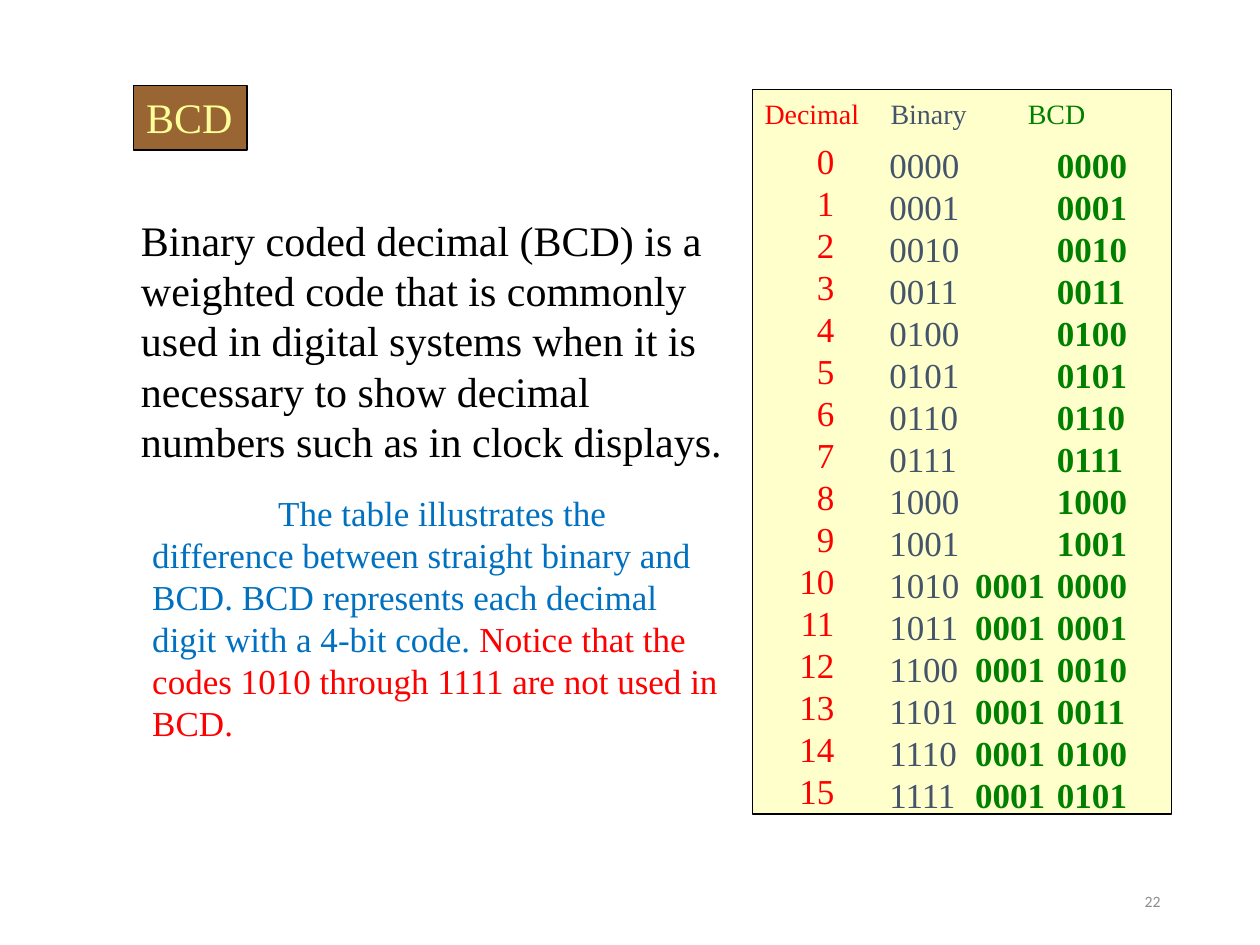
from pptx import Presentation
from pptx import util as u
from pptx.dml.color import RGBColor
from pptx.enum import shapes, text

RED, GREEN, SLATE, BLUE = "FF0000", "008000", "44546A", "0070C0"
ROW = 1 / 3


def paint(hue):
    """Turn a hex string into a colour."""
    return RGBColor.from_string(hue)


class Page:
    """The current slide and its style."""

    face = "Times New Roman"

    def __init__(self, deck):
        """Add a title-only slide."""
        self.slide = deck.slides.add_slide(deck.slide_layouts[5])

    def place(self, item, box):
        """Move an element to left, top, width, height."""
        item.left, item.top, item.width, item.height = map(u.Inches, box)

    def coat(self, item, fill):
        """Fill an element and give it a thin black outline."""
        item.fill.solid()
        item.fill.fore_color.rgb = paint(fill)
        item.line.color.rgb = paint("000000")
        item.line.width = u.Pt(0.75)

    def style(self, para, size, hue, bold=False, align="LEFT", face=None):
        """Format one paragraph."""
        para.alignment = getattr(text.PP_ALIGN, align)
        para.line_spacing = u.Pt(1.2 * size)
        para.space_before = u.Pt(0)
        font = para.font
        font.name, font.size, font.bold = face or self.face, u.Pt(size), bold
        font.color.rgb = paint(hue)

    def title(self, words, box, size, hue, fill):
        """Fill the title placeholder as a coloured label."""
        item = self.slide.shapes.title
        self.place(item, box)
        self.coat(item, fill)
        frame = item.text_frame
        frame.text = words
        frame.word_wrap = False
        frame.auto_size = text.MSO_AUTO_SIZE.NONE
        frame.vertical_anchor = text.MSO_ANCHOR.TOP
        self.style(frame.paragraphs[0], size, hue)

    def panel(self, box, fill):
        """Add an outlined rectangle."""
        item = self.slide.shapes.add_shape(
            shapes.MSO_SHAPE.RECTANGLE, *map(u.Inches, box))
        item.shadow.inherit = False
        self.coat(item, fill)

    def text(self, lines, box, size, hue, **look):
        """Add a text box with one paragraph per line."""
        item = self.slide.shapes.add_textbox(*map(u.Inches, box))
        frame = item.text_frame
        frame.word_wrap = True
        frame.text = "\n".join(lines)
        for para in frame.paragraphs:
            self.style(para, size, hue, **look)
        return frame


deck = Presentation()
deck.slide_width, deck.slide_height = u.Inches(10), u.Inches(7.5)
page = Page(deck)

page.title("BCD", (1.06, 0.68, 0.9, 0.51), 24, "FFFF99", "996633")
page.text(["Binary coded decimal (BCD) is a weighted code that is commonly used "
           "in digital systems when it is necessary to show decimal numbers "
           "such as in clock displays."],
          (1.02, 1.65, 4.92, 2.1), 24, "000000")

note = page.text(["The table illustrates the difference between straight binary "
                  "and BCD. BCD represents each decimal digit with a 4-bit code. "],
                 (1.11, 3.85, 4.75, 2.1), 20, BLUE).paragraphs[0]
note._p.get_or_add_pPr().set("indent", str(u.Inches(1)))
warn = note.add_run()
warn.text = "Notice that the codes 1010 through 1111 are not used in BCD."
warn.font.color.rgb = paint(RED)

page.panel((5.97, 0.71, 3.33, 5.75), "FFFFCC")
for head, left, wide, hue in (("Decimal", 5.97, 1.5, RED),
                              ("Binary", 6.97, 1, SLATE),
                              ("BCD", 8.06, 1, GREEN)):
    page.text([head], (left, 0.72, wide, 0.37), 16, hue)

nums = range(16)
tens = [f"{n // 10:04b}" for n in nums if n > 9]
ones = [f"{n % 10:04b}" for n in nums]
top, tall = 1.09, 16 * ROW + 0.1
page.text([str(n) for n in nums], (6.22, 1.06, 0.5, tall), 20, RED, align="RIGHT")
page.text([f"{n:04b}" for n in nums], (6.96, top, 0.92, tall), 20, SLATE)
page.text(ones, (8.29, top, 0.92, tall), 20, GREEN, bold=True)
page.text(tens, (7.64, top + 10 * ROW, 0.92, 6 * ROW + 0.1), 20, GREEN, bold=True)

foot = page.text(["22"], (7.06, 6.95, 2.25, 0.4), 9, "8C8C8C",
                 align="RIGHT", face="Calibri")
foot.vertical_anchor = text.MSO_ANCHOR.MIDDLE

deck.save("out.pptx")
